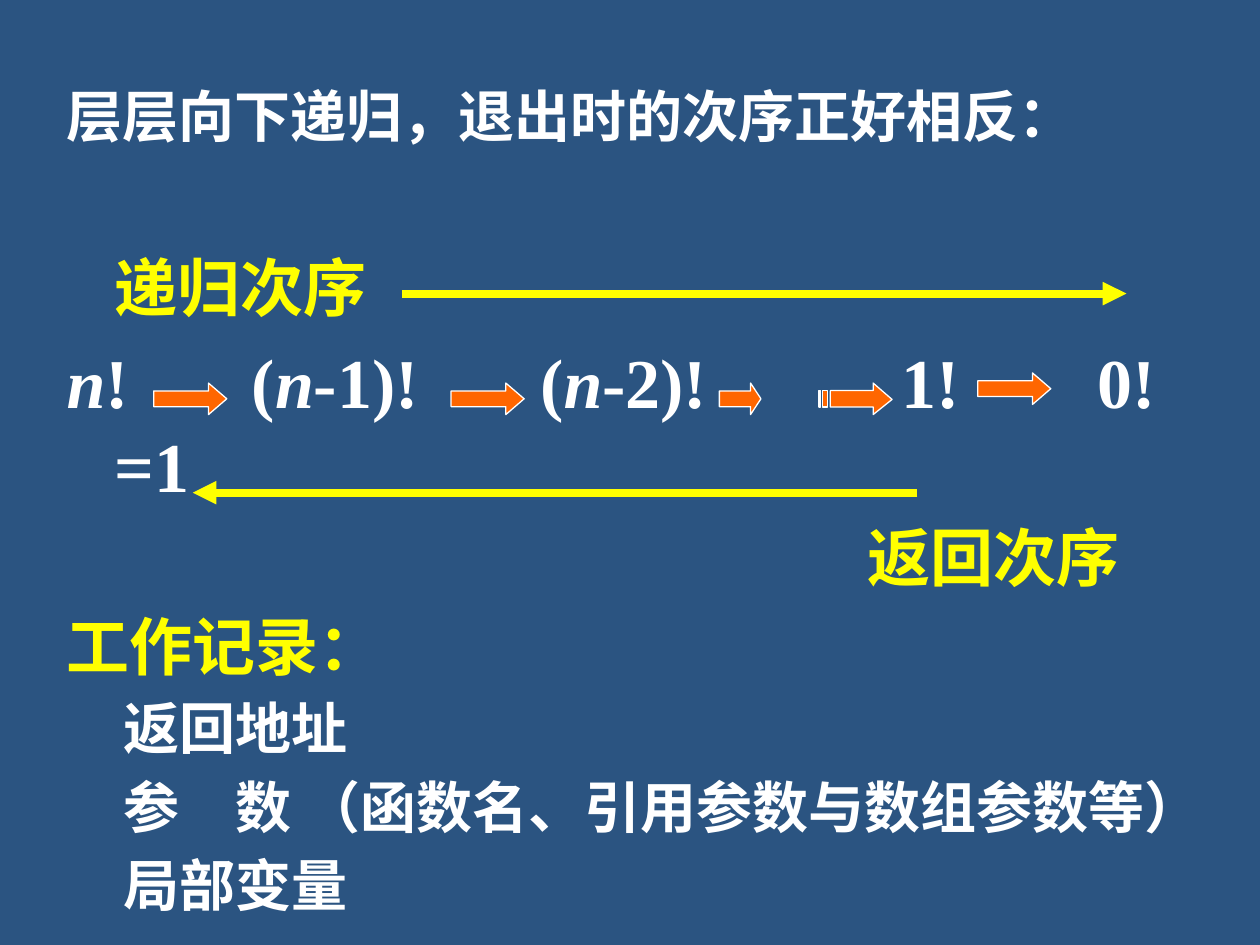
from lxml.etree import SubElement
from pptx import Presentation
from pptx.dml.color import RGBColor
from pptx.enum.shapes import MSO_CONNECTOR, MSO_SHAPE
from pptx.oxml.ns import qn
from pptx.util import Inches, Pt

BACKGROUND, WHITE, YELLOW, ORANGE = "2B5481", "FFFFFF", "FFFF00", "FF6600"
ARROW_HEIGHT = 0.25
STEP_STYLE = {"size": 40, "font": "Times New Roman"}
# Left edge and width of each later step, then its text
STEPS = (
    (1.9, 1.6, "(n-1)!"),
    (4.19, 1.6, "(n-2)!"),
    (7.06, 0.8, "1!"),
    (8.61, 0.8, "0!"),
)


def color(value):
    return RGBColor.from_string(value)


def add_span(para, text, size=32, fill=WHITE, font="Karla", italic=False):
    span = para.add_run()
    span.text = text
    span.font.size = Pt(size)
    span.font.name = font
    span.font.bold = True
    span.font.italic = italic
    span.font.color.rgb = color(fill)


class SlideBuilder:
    def __init__(self, deck):
        self.page = deck.slides.add_slide(deck.slide_layouts[6])
        self.page.background.fill.solid()
        self.page.background.fill.fore_color.rgb = color(BACKGROUND)
        self.frame = None

    def text_box(self, left, top, width, height):
        box = self.page.shapes.add_textbox(
            Inches(left), Inches(top), Inches(width), Inches(height))
        self.frame = box.text_frame
        self.frame.word_wrap = True

    def paragraph(self, text="", indent=0, before=0, **style):
        """Add a paragraph to the current box, reusing its empty first one."""
        para = self.frame.paragraphs[0]
        if para.runs:
            para = self.frame.add_paragraph()
        if before:
            para.space_before = Pt(before)
        properties = para._p.get_or_add_pPr()
        properties.set("marL", str(Inches(indent)))
        properties.set("indent", "0")
        if text:
            add_span(para, text, **style)
        return para

    def factorial(self, text, before=0):
        """Add a factorial term whose variable n is italic."""
        para = self.paragraph(before=before)
        for part in text.partition("n"):
            if part:
                add_span(para, part, italic=part == "n", **STEP_STYLE)

    def order_line(self, start, end, y):
        """Draw a thick horizontal line with its arrowhead at the end."""
        line = self.page.shapes.add_connector(
            MSO_CONNECTOR.STRAIGHT, Inches(start), Inches(y), Inches(end), Inches(y))
        line.line.color.rgb = color(YELLOW)
        line.line.width = Pt(4.5)
        SubElement(line.line._get_or_add_ln(), qn("a:tailEnd"), type="triangle")
        SubElement(line._element.spPr, qn("a:effectLst"))

    def paint_arrow(self, shape):
        shape.shadow.inherit = False
        shape.fill.solid()
        shape.fill.fore_color.rgb = color(ORANGE)
        shape.line.color.rgb = color(WHITE)
        shape.line.width = Pt(0.75)

    def block_arrow(self, left, top, width):
        arrow = self.page.shapes.add_shape(
            MSO_SHAPE.RIGHT_ARROW, Inches(left), Inches(top),
            Inches(width), Inches(ARROW_HEIGHT))
        arrow.adjustments[0] = 0.5
        arrow.adjustments[1] = 0.58 if width > 0.5 else 0.33
        self.paint_arrow(arrow)

    def striped_arrow(self, left, top):
        upper, lower = 0.06, 0.19
        outlines = [[(0.43, 0), (0.43, upper), (0.09, upper), (0.09, lower),
                     (0.43, lower), (0.43, ARROW_HEIGHT), (0.58, 0.13)]]
        for start, end in ((0.03, 0.07), (0, 0.01)):
            outlines.append([(start, upper), (start, lower), (end, lower), (end, upper)])
        builder = self.page.shapes.build_freeform(
            Inches(outlines[0][0][0]), Inches(outlines[0][0][1]))
        for number, (first, *rest) in enumerate(outlines):
            if number:
                builder.move_to(Inches(first[0]), Inches(first[1]))
            builder.add_line_segments([(Inches(x), Inches(y)) for x, y in rest])
        self.paint_arrow(builder.convert_to_shape(Inches(left), Inches(top)))


def main():
    deck = Presentation()
    deck.slide_width, deck.slide_height = Inches(10), Inches(7.5)
    slide = SlideBuilder(deck)

    slide.text_box(0.43, 0.6, 9.29, 6.54)
    slide.paragraph("层层向下递归，退出时的次序正好相反：")
    slide.paragraph("递归次序", indent=0.38, before=57, size=36, fill=YELLOW)
    slide.factorial("n!", before=8)
    slide.paragraph("=1", indent=0.38, **STEP_STYLE)
    slide.paragraph("返回次序", indent=6.36, before=7.2, size=36, fill=YELLOW)
    slide.paragraph("工作记录：", before=7.2, size=36, fill=YELLOW)
    for record in ("返回地址", "参　数 （函数名、引用参数与数组参数等）", "局部变量"):
        slide.paragraph(record, indent=0.45, before=6.4)

    for left, width, text in STEPS:
        slide.text_box(left, 2.64, width, 0.76)
        slide.factorial(text)

    slide.order_line(3.19, 8.94, 2.33)
    slide.order_line(7.28, 1.53, 3.91)
    for left, top, width in ((1.22, 3.04, 0.58), (3.58, 3.04, 0.58),
                             (5.71, 3.04, 0.33), (7.76, 2.96, 0.58)):
        slide.block_arrow(left, top, width)
    slide.striped_arrow(6.5, 3.04)

    deck.save("out.pptx")


if __name__ == "__main__":
    main()
